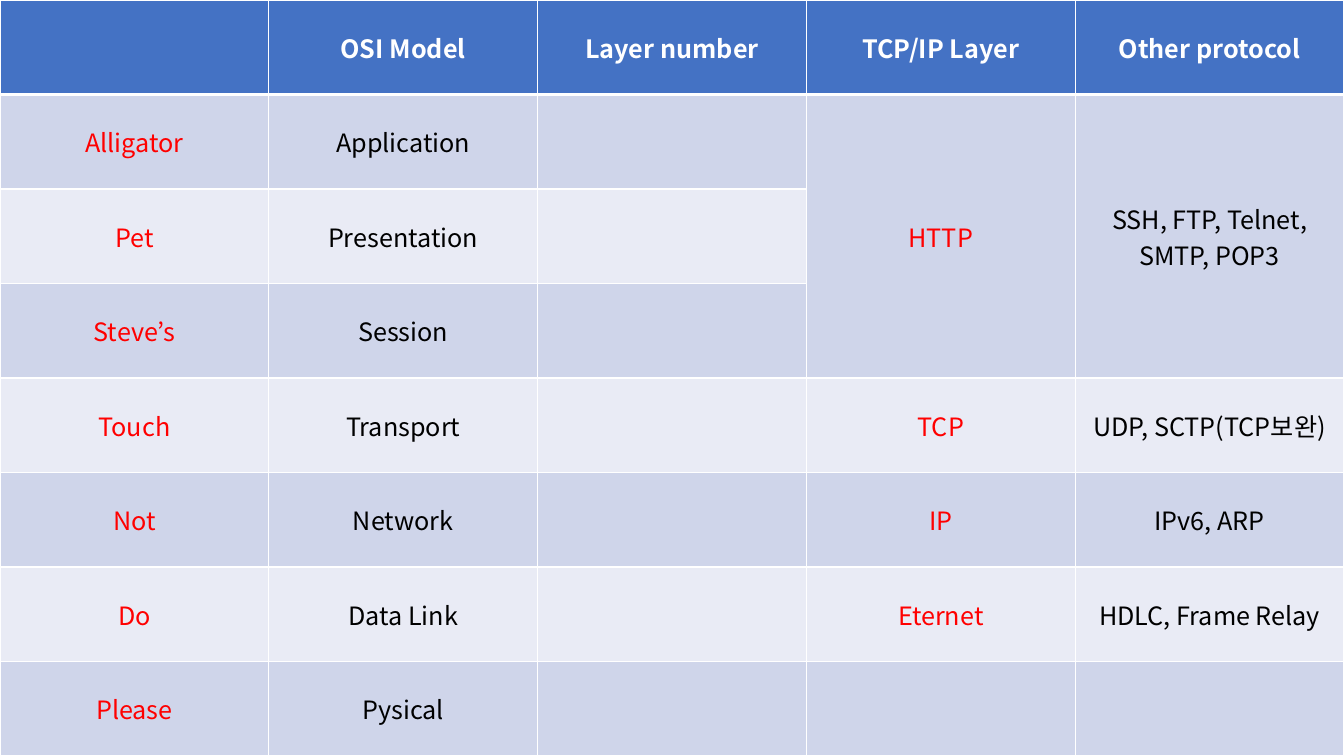
from lxml.etree import SubElement
from pptx import Presentation
from pptx.dml.color import RGBColor as Rgb
from pptx.enum.text import MSO_ANCHOR as Anchor, PP_ALIGN as Align
from pptx.oxml.ns import qn
from pptx.util import Cm, Pt

FONT = "Noto Sans CJK KR"
HUES = {"head": "4472C4", "odd": "CFD5EA", "even": "E9EBF5",
        "white": "FFFFFF", "red": "FF0000", "black": "000000"}
ROWS = [
    ("", "OSI Model", "Layer number", "TCP/IP Layer", "Other protocol"),
    ("Alligator", "Application", "", "HTTP", "SSH, FTP, Telnet, SMTP, POP3"),
    ("Pet", "Presentation", "", "", ""),
    ("Steve’s", "Session", "", "", ""),
    ("Touch", "Transport", "", "TCP", "UDP, SCTP(TCP보완)"),
    ("Not", "Network", "", "IP", "IPv6, ARP"),
    ("Do", "Data Link", "", "Eternet", "HDLC, Frame Relay"),
    ("Please", "Pysical", "", "", ""),
]
RED_COLS = (0, 3)
MERGES = [((1, 3), (3, 3)), ((1, 4), (3, 4))]
WIDE, HIGH = Cm(33.87), Cm(19.05)


def write(cell, text, size=18, hue="black", bold=False):
    cell.vertical_anchor = Anchor.MIDDLE
    para = cell.text_frame.paragraphs[0]
    para.alignment = Align.CENTER
    if not text:
        para.font.size = Pt(size)
        return
    run = para.add_run()
    run.text = text
    font = run.font
    font.size, font.bold, font.name = Pt(size), bold, FONT
    font.color.rgb = Rgb.from_string(HUES[hue])
    SubElement(run._r.get_or_add_rPr(), qn("a:ea"), typeface=FONT)


def edge(cell, **widths):
    props = cell._tc.get_or_add_tcPr()
    for side in "LRTB":
        line = SubElement(props, qn(f"a:ln{side}"), w=str(Pt(widths.get(side, 1))))
        fill = SubElement(line, qn("a:solidFill"))
        SubElement(fill, qn("a:srgbClr"), val=HUES["white"])


def paint(cell, hue):
    cell.fill.solid()
    cell.fill.fore_color.rgb = Rgb.from_string(HUES[hue])


def main():
    """Build the slide that maps OSI layers to TCP/IP protocols."""
    deck = Presentation()
    deck.slide_width, deck.slide_height = WIDE, HIGH
    slide = deck.slides.add_slide(deck.slide_layouts[6])
    table = slide.shapes.add_table(len(ROWS), len(ROWS[0]), 0, 0, WIDE, HIGH).table
    for r, row in enumerate(ROWS):
        for c, text in enumerate(row):
            cell = table.cell(r, c)
            head = r == 0
            edge(cell, T=3 if r == 1 else 1, B=3 if head else 1)
            paint(cell, "head" if head else "odd" if r % 2 else "even")
            hue = "white" if head else "red" if c in RED_COLS else "black"
            write(cell, text, hue=hue, bold=head)
    for first, last in MERGES:
        table.cell(*first).merge(table.cell(*last))
    deck.save("out.pptx")


if __name__ == "__main__":
    main()
